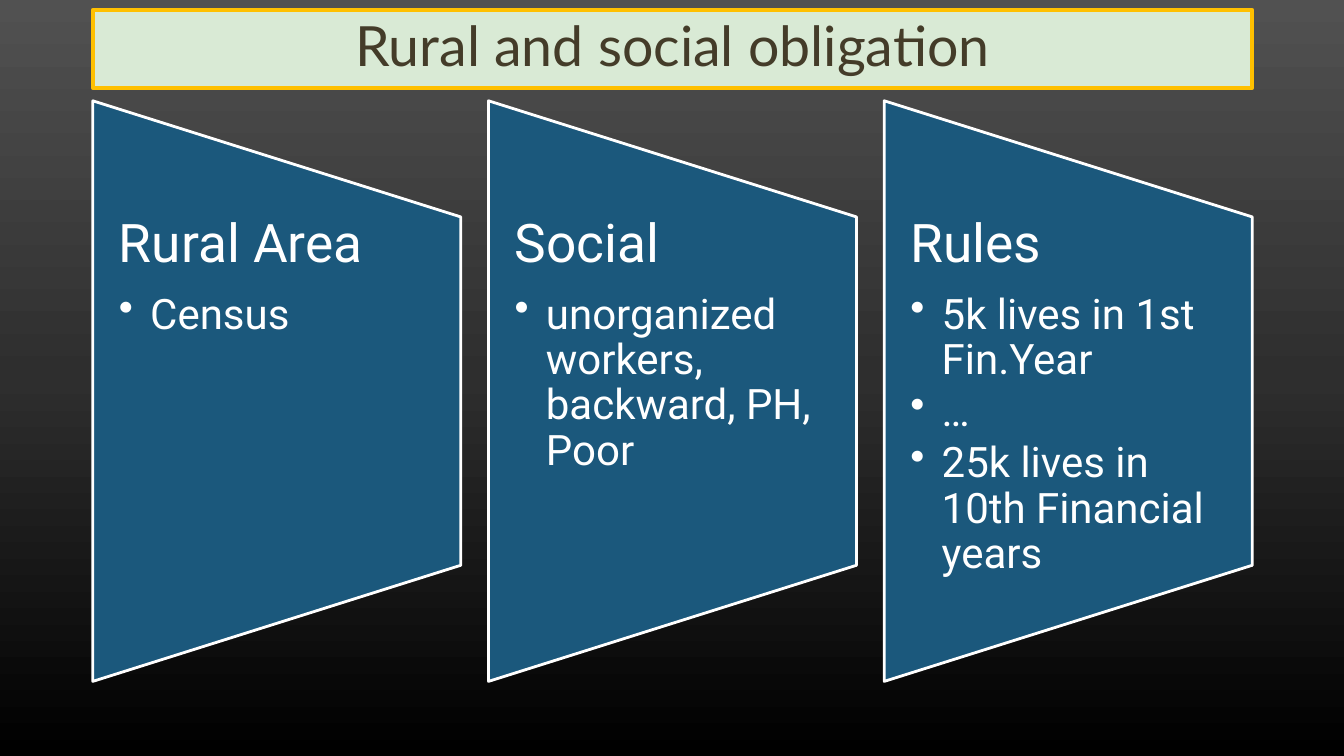
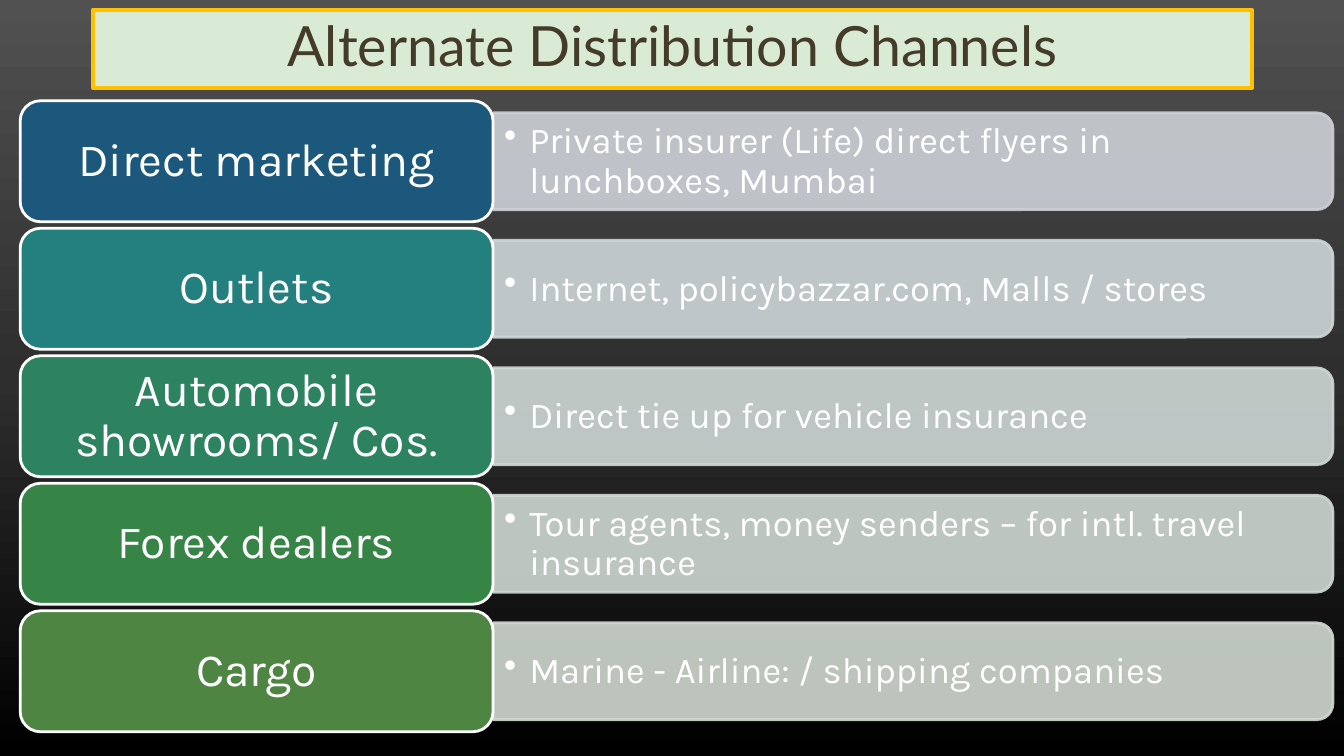
import copy
import dataclasses
import pptx
import pptx.dml.color
import pptx.enum.shapes
import pptx.enum.text
import pptx.oxml.ns
import pptx.util
from lxml import etree

Inches = pptx.util.Inches
Pt = pptx.util.Pt
qn = pptx.oxml.ns.qn
Kind = pptx.enum.shapes.MSO_SHAPE
Align = pptx.enum.text.PP_ALIGN
Anchor = pptx.enum.text.MSO_ANCHOR

PANELS = [
    ("Rural Area", ["Census"]),
    ("Social", ["unorganized workers, backward, PH, Poor"]),
    ("Rules", ["5k lives in 1st Fin.Year", "…", "25k lives in 10th Financial years"]),
]
ROWS = [
    ("Direct marketing", "Private insurer (Life) direct flyers in lunchboxes, Mumbai", "1B587C", "CDD1D7"),
    ("Outlets", "Internet, policybazzar.com, Malls / stores", "23807E", "CDD6D8"),
    ("Automobile showrooms/ Cos.", "Direct tie up for vehicle insurance", "2D8260", "CED8D5"),
    ("Forex dealers", "Tour agents, money senders – for intl. travel insurance", "378447", "CED8D2"),
    ("Cargo", "Marine - Airline: / shipping companies", "4E8542", "D0D9CF"),
]


@dataclasses.dataclass(frozen=True)
class Theme:
    back: tuple = ((0, "515151"), (0.5, "2E2E2E"), (1, "000000"))
    white: str = "FFFFFF"
    panel: str = "1B587C"
    band: str = "D9EAD5"
    edge: str = "FFC000"
    ink: str = "443C29"
    title: tuple = ("Lato", 39.6)
    head: tuple = ("Roboto", 38)
    item: tuple = ("Roboto", 30)
    label: tuple = ("Karla", 33)
    note: tuple = ("Karla", 26)


T = Theme()


def rgb(code):
    return pptx.dml.color.RGBColor.from_string(code)


def place(shape, left, top, width, height):
    shape.left, shape.top = Inches(left), Inches(top)
    shape.width, shape.height = Inches(width), Inches(height)


def paint(shape, fill, line, width=2):
    shape.fill.solid()
    shape.fill.fore_color.rgb = rgb(fill)
    shape.line.color.rgb = rgb(line)
    shape.line.width = Pt(width)


def fade(shape, share):
    for color in shape.element.spPr.iter(qn("a:srgbClr")):
        etree.SubElement(color, qn("a:alpha"), val=str(share * 1000))


def draw(slide, kind, box, fill, line, turn=0):
    shape = slide.shapes.add_shape(kind, *map(Inches, box))
    shape.shadow.inherit = False
    shape.rotation = turn
    paint(shape, fill, line)
    return shape


def frame(shape, side, edge, anchor):
    text = shape.text_frame
    text.word_wrap = True
    text.margin_left = text.margin_right = Inches(side)
    text.margin_top = text.margin_bottom = Inches(edge)
    text.vertical_anchor = anchor
    return text


def style(para, face, color, after=0, align=Align.LEFT):
    name, size = face
    para.alignment = align
    para.line_spacing = 0.9
    para.space_before = Pt(0)
    para.space_after = Pt(round(size * after, 1))
    for run in para.runs:
        run.font.name = name
        run.font.size = Pt(size)
        run.font.color.rgb = rgb(color)


def bullet(para, text, face, indent):
    para.text = text
    para.level = 1
    props = para._p.get_or_add_pPr()
    props.set("marL", str(Inches(indent)))
    props.set("indent", str(-Inches(indent)))
    etree.SubElement(props, qn("a:buChar"), char="•")
    style(para, face, T.white, 0.15)


def backdrop(master):
    fill = master.background.fill
    fill.gradient()
    fill.gradient_angle = 270
    stops = master.element.find(".//" + qn("a:gsLst"))
    stops.append(copy.deepcopy(stops[-1]))
    for stop, (spot, color) in zip(fill.gradient_stops, T.back):
        stop.position = spot
        stop.color.rgb = rgb(color)


def start(deck, text):
    slide = deck.slides.add_slide(deck.slide_layouts[5])
    title = slide.shapes.title
    place(title, 0.92, 0.1, 11.5, 0.77)
    paint(title, T.band, T.edge, 3)
    body = frame(title, 0.1, 0.05, Anchor.MIDDLE)
    body.text = text
    body.auto_size = pptx.enum.text.MSO_AUTO_SIZE.NONE
    style(body.paragraphs[0], T.title, T.ink, align=Align.CENTER)
    return slide


def panels(slide):
    left, wide, tall, top = 0.92, 3.65, 5.76, 1
    step = (11.5 - wide) / (len(PANELS) - 1)
    for i, (head, items) in enumerate(PANELS):
        x = left + i * step
        box = (x + (wide - tall) / 2, top + (tall - wide) / 2, tall, wide)
        draw(slide, Kind.FLOWCHART_MANUAL_OPERATION, box, T.panel, T.white, 270)
        area = slide.shapes.add_textbox(*map(Inches, (x, 2.15, wide, 3.45)))
        text = frame(area, 0.26, 0, Anchor.TOP)
        text.text = head
        style(text.paragraphs[0], T.head, T.white, 0.35)
        for item in items:
            bullet(text.add_paragraph(), item, T.item, 0.31)


def rows(slide):
    left, top, wide, tall, step = 0.2, 1, 4.69, 1.2, 1.265
    long, thick = 8.33, 0.96
    x = left + wide
    for i, (label, note, dark, pale) in enumerate(ROWS):
        y = top + i * step
        mid = y + tall / 2
        box = (x + (long - thick) / 2, mid - long / 2, thick, long)
        fade(draw(slide, Kind.ROUND_2_SAME_RECTANGLE, box, pale, pale, 90), 90)
        area = slide.shapes.add_textbox(*map(Inches, (x, mid - 0.43, 8.29, 0.87)))
        text = frame(area, 0.11, 0.05, Anchor.MIDDLE)
        bullet(text.paragraphs[0], note, T.note, 0.25)
        tile = draw(slide, Kind.ROUNDED_RECTANGLE, (left, y, wide, tall), dark, T.white)
        text = frame(tile, 0.2, 0.07, Anchor.MIDDLE)
        text.text = label
        style(text.paragraphs[0], T.label, T.white, 0.35, Align.CENTER)


def main():
    deck = pptx.Presentation()
    deck.slide_width, deck.slide_height = Inches(13.33), Inches(7.5)
    backdrop(deck.slide_master)
    panels(start(deck, "Rural and social obligation"))
    rows(start(deck, "Alternate Distribution Channels"))
    deck.save("out.pptx")


if __name__ == "__main__":
    main()
